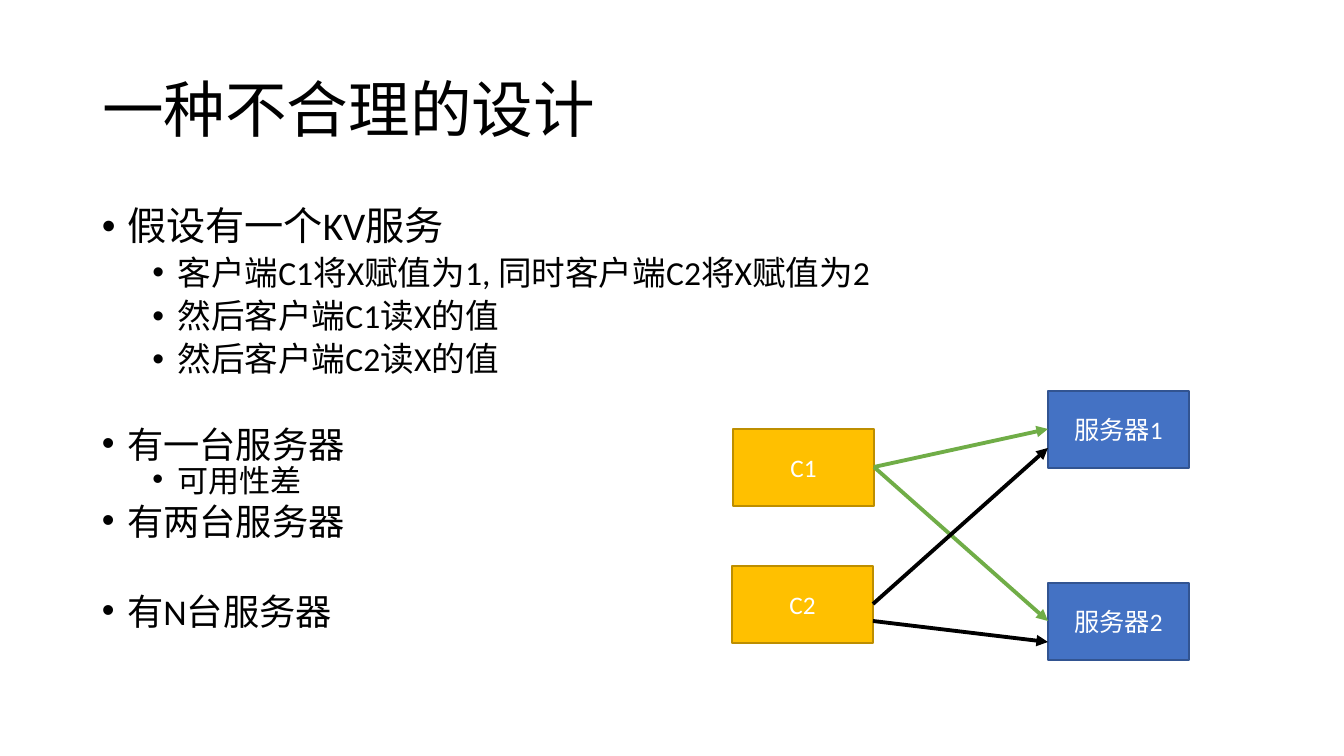
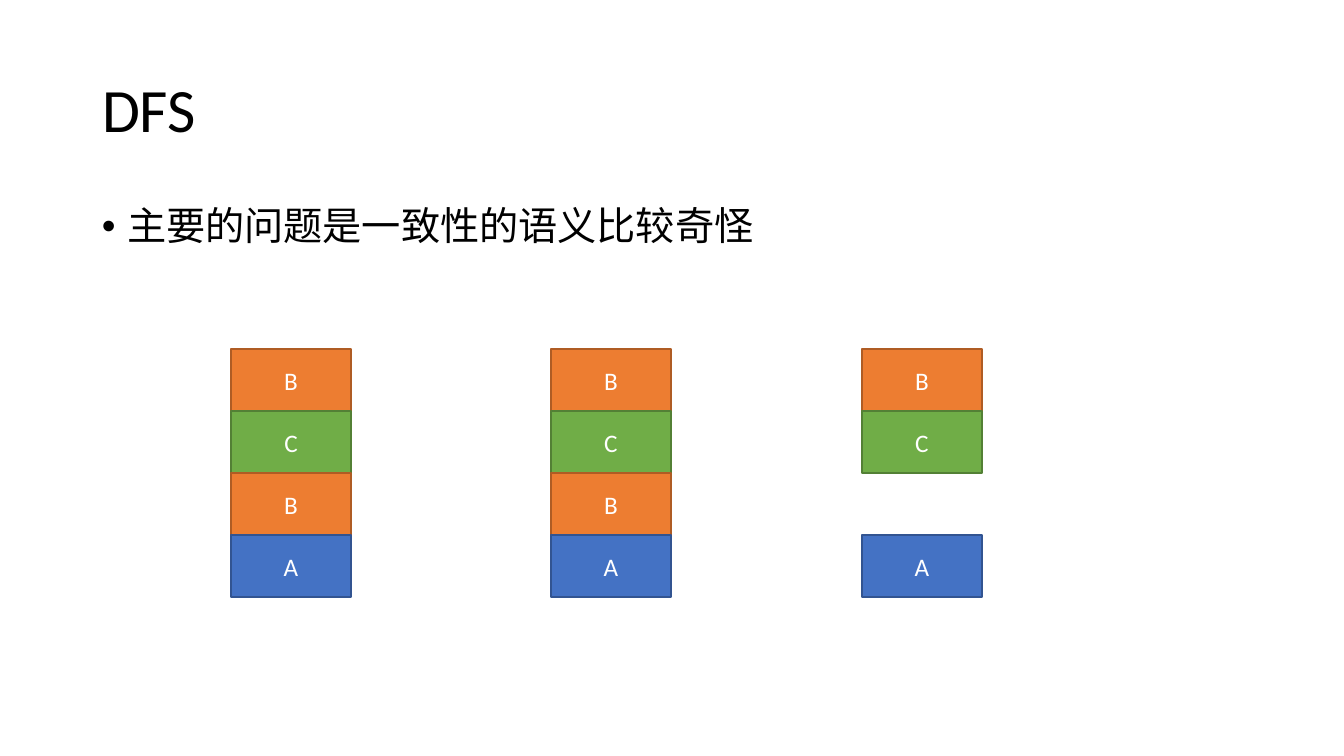
from dataclasses import dataclass

from lxml import etree
from pptx import Presentation
from pptx import util as u
from pptx.dml.color import RGBColor
from pptx.enum import shapes, text
from pptx.oxml.ns import qn


@dataclass(frozen=True)
class Theme:
    font: str = "Calibri"
    ink: str = "000000"
    paper: str = "FFFFFF"
    blue: tuple = ("4472C4", "325491")
    gold: tuple = ("FFC000", "BD8E00")
    orange: tuple = ("ED7D31", "AF5C24")
    green: tuple = ("70AD47", "538035")
    title_size: float = 44
    label_size: float = 18
    list_sizes: tuple = (28, 24)
    small_list_sizes: tuple = (25.9, 22.2)


theme = Theme()
SCALE = 914400 / 100.8


def px(*lengths):
    return [u.Emu(round(length * SCALE)) for length in lengths]


def set_font(para, size, color):
    para.font.name = theme.font
    para.font.size = u.Pt(size)
    para.font.color.rgb = RGBColor.from_string(color)


deck = Presentation()
deck.slide_width, deck.slide_height = px(1344, 756)

intro = [
    (0, "假设有一个KV服务", 10),
    (1, "客户端C1将X赋值为1, 同时客户端C2将X赋值为2", 5),
    (1, "然后客户端C1读X的值", 5),
    (1, "然后客户端C2读X的值", 5),
]
options = [
    (0, "有一台服务器", 10),
    (1, "可用性差", 5),
    (0, "有两台服务器", 10),
    (0, "有N台服务器", 42),
]
problem = [(0, "主要的问题是一致性的语义比较奇怪", 10)]

nodes = [
    ("服务器1", theme.blue, 1048, 391, 141, 77),
    ("服务器2", theme.blue, 1048, 583, 141, 77),
    ("C1", theme.gold, 733, 429, 141, 77),
    ("C2", theme.gold, 732, 566, 141, 77),
]
writes = [
    (theme.green[0], 874, 467, 1048, 429),
    (theme.green[0], 874, 467, 1048, 621),
    (theme.ink, 873, 604, 1048, 448),
    (theme.ink, 873, 621, 1048, 642),
]

record_colors = {"A": theme.blue, "B": theme.orange, "C": theme.green}
replicas = [(231, "BCBA"), (551, "BCBA"), (862, "BC A")]
records = [
    (name, record_colors[name], left, 349 + 62 * row, 120, 62)
    for left, names in replicas
    for row, name in enumerate(names)
    if name in record_colors
]

pages = [
    (
        "一种不合理的设计",
        [
            (202, 213, 0.9, theme.list_sizes, intro),
            (429, 213, 0.7, theme.small_list_sizes, options),
        ],
        nodes,
        writes,
    ),
    ("DFS", [(202, 480, 0.9, theme.list_sizes, problem)], records, []),
]

for heading, lists, blocks, arrows in pages:
    page = deck.slides.add_slide(deck.slide_layouts[5])
    title = page.shapes.title
    title.left, title.top, title.width, title.height = px(92, 40, 1159, 146)
    title.text_frame.text = heading
    title.text_frame.auto_size = text.MSO_AUTO_SIZE.NONE
    title.text_frame.vertical_anchor = text.MSO_ANCHOR.MIDDLE
    para = title.text_frame.paragraphs[0]
    para.alignment = text.PP_ALIGN.LEFT
    para.line_spacing = 0.9
    set_font(para, theme.title_size, theme.ink)

    for top, height, spacing, sizes, items in lists:
        frame = page.shapes.add_textbox(*px(92, top, 1159, height)).text_frame
        frame.word_wrap = True
        for index, (level, words, before) in enumerate(items):
            para = frame.add_paragraph() if index else frame.paragraphs[0]
            para.text = words
            para.level = level
            props = para._p.get_or_add_pPr()
            props.set("marL", str(u.Inches(0.25 + 0.5 * level)))
            props.set("indent", str(u.Inches(-0.25)))
            etree.SubElement(props, qn("a:buFont"), typeface="Arial")
            etree.SubElement(props, qn("a:buChar"), char="•")
            para.line_spacing = spacing
            para.space_before = u.Pt(before)
            set_font(para, sizes[level], theme.ink)

    for label, (fill, edge), *bounds in blocks:
        box = page.shapes.add_shape(shapes.MSO_SHAPE.RECTANGLE, *px(*bounds))
        box.shadow.inherit = False
        box.fill.solid()
        box.fill.fore_color.rgb = RGBColor.from_string(fill)
        box.line.color.rgb = RGBColor.from_string(edge)
        box.line.width = u.Pt(1)
        box.text_frame.text = label
        box.text_frame.vertical_anchor = text.MSO_ANCHOR.MIDDLE
        para = box.text_frame.paragraphs[0]
        para.alignment = text.PP_ALIGN.CENTER
        set_font(para, theme.label_size, theme.paper)

    for color, *ends in arrows:
        arrow = page.shapes.add_connector(shapes.MSO_CONNECTOR.STRAIGHT, *px(*ends))
        arrow.line.color.rgb = RGBColor.from_string(color)
        arrow.line.width = u.Pt(2.75)
        etree.SubElement(arrow.line._get_or_add_ln(), qn("a:tailEnd"), type="triangle")
        etree.SubElement(arrow._element.spPr, qn("a:effectLst"))

deck.save("out.pptx")
